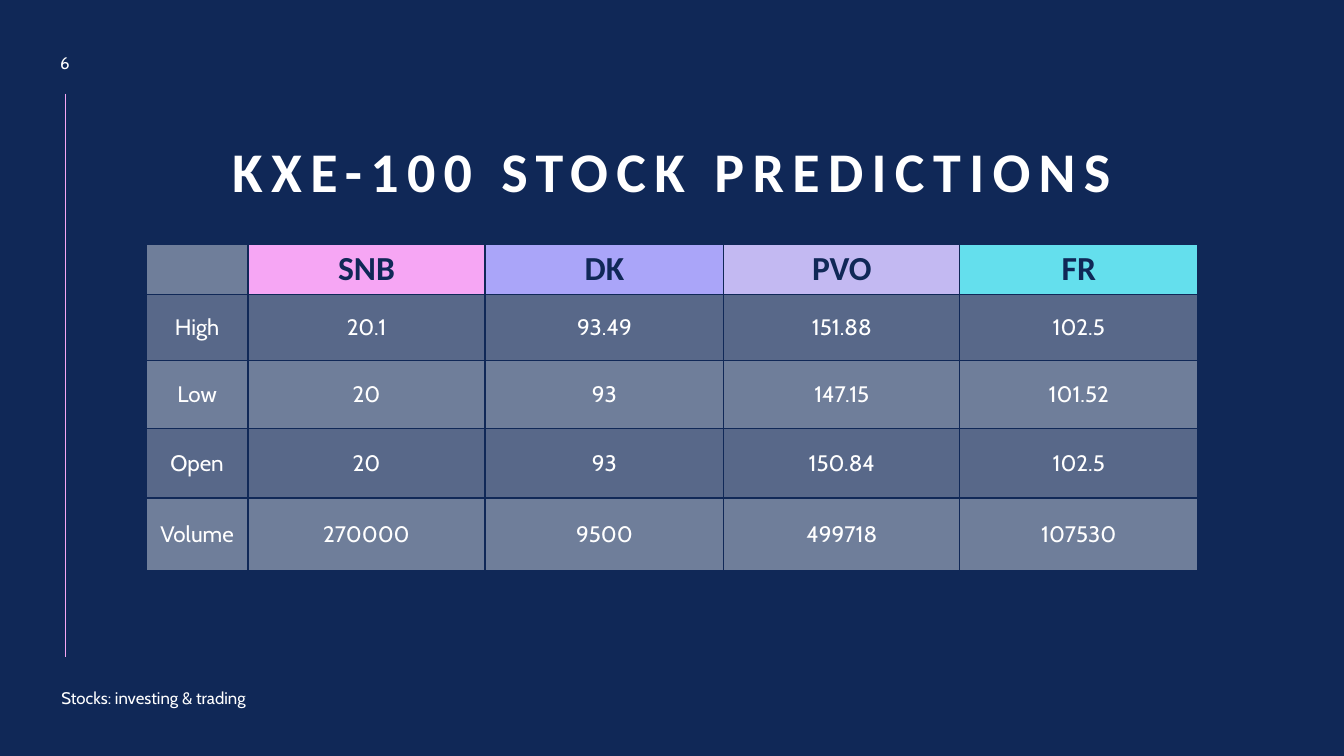
"""Build a slide with a table of stock predictions."""
from pptx import Presentation
from pptx import util as u
from pptx.dml import color
from pptx.enum import shapes, text
from pptx.oxml import parse_xml
from pptx.oxml import ns

TITLE = "KXE-100 STOCK PREDICTIONS"
PAGE_NUMBER = "6"
FOOTER = "Stocks: investing & trading"
ROWS = [
    ("", "SNB", "DK", "PVO", "FR"),
    ("High", "20.1", "93.49", "151.88", "102.5"),
    ("Low", "20", "93", "147.15", "101.52"),
    ("Open", "20", "93", "150.84", "102.5"),
    ("Volume", "270000", "9500", "499718", "107530"),
]
COLORS = {"navy": "102857", "white": "FFFFFF", "pink": "F6A6F4",
          "violet": "AAA5F9", "lilac": "C3B9F2", "cyan": "64DFED"}
HEADER_FILLS = ["white", "pink", "violet", "lilac", "cyan"]
COLUMN_WIDTHS = [101, 235, 237, 234, 236]
ROW_HEIGHTS = [47, 66, 67, 69, 72]
TABLE_CORNER = (145, 242)
TITLE_BOX = (120, 91, 1093, 117)
NUMBER_BOX = (36, 45, 57, 34)
FOOTER_BOX = (51, 677, 255, 30)
RULE = (65, 93, 65, 652)
SLIDE_SIZE = (1333, 750)

PX = 9144
BORDER_WIDTH = u.Pt(1)
CENTER, LEFT = text.PP_ALIGN.CENTER, text.PP_ALIGN.LEFT
MIDDLE = text.MSO_ANCHOR.MIDDLE
TITLE_FONT = {"name": "Calibri", "size": u.Pt(40), "bold": True}
HEADER_FONT = {"name": "Calibri", "size": u.Pt(24), "bold": True}
CELL_FONT = {"name": "Cabin", "size": u.Pt(16), "bold": False}
SMALL_FONT = {"name": "Cabin", "size": u.Pt(12), "bold": False}


def px(lengths):
    return [length * PX for length in lengths]


def rgb(name):
    return color.RGBColor.from_string(COLORS[name])


def write(frame, words, font, ink="white", align=CENTER):
    para = frame.paragraphs[0]
    para.alignment = align
    span = para.add_run()
    span.text = words
    for key, value in font.items():
        setattr(span.font, key, value)
    span.font.color.rgb = rgb(ink)
    return para, span


def add_label(page, box, words, align):
    frame = page.shapes.add_textbox(*px(box)).text_frame
    frame.word_wrap = True
    frame.vertical_anchor = MIDDLE
    write(frame, words, SMALL_FONT, align=align)


def paint(cell, fill, opacity):
    cell.fill.solid()
    cell.fill.fore_color.rgb = rgb(fill)
    properties = cell._tc.get_or_add_tcPr()
    if opacity < 100:
        tint = properties.find(".//" + ns.qn("a:srgbClr"))
        tint.append(parse_xml(f'<a:alpha {ns.nsdecls("a")} val="{opacity * 1000}"/>'))
    for index, side in enumerate("LRTB"):
        properties.insert(index, parse_xml(
            f'<a:ln{side} {ns.nsdecls("a")} w="{BORDER_WIDTH}"><a:solidFill>'
            f'<a:srgbClr val="{COLORS["navy"]}"/></a:solidFill></a:ln{side}>'))


def add_title(page):
    title = page.shapes.title
    title.left, title.top, title.width, title.height = px(TITLE_BOX)
    frame = title.text_frame
    frame.word_wrap = True
    frame.auto_size = text.MSO_AUTO_SIZE.NONE
    frame.vertical_anchor = text.MSO_ANCHOR.BOTTOM
    para, span = write(frame, TITLE, TITLE_FONT)
    para.line_spacing = 0.9
    span.font._element.set("spc", "600")


def add_rule(page):
    rule = page.shapes.add_connector(shapes.MSO_CONNECTOR.STRAIGHT, *px(RULE))
    rule.line.color.rgb = rgb("pink")
    rule.line.width = u.Pt(0.5)
    rule._element.spPr.append(parse_xml(f'<a:effectLst {ns.nsdecls("a")}/>'))


def add_stock_table(page):
    box = (*TABLE_CORNER, sum(COLUMN_WIDTHS), sum(ROW_HEIGHTS))
    table = page.shapes.add_table(len(ROWS), len(COLUMN_WIDTHS), *px(box)).table
    for column, width in zip(table.columns, px(COLUMN_WIDTHS)):
        column.width = width
    for row, height in zip(table.rows, px(ROW_HEIGHTS)):
        row.height = height
    for r, values in enumerate(ROWS):
        for c, value in enumerate(values):
            cell = table.cell(r, c)
            cell.vertical_anchor = MIDDLE
            header = r == 0
            fill = HEADER_FILLS[c] if header else "white"
            opacity = 100 if fill != "white" else 30 if r % 2 else 40
            paint(cell, fill, opacity)
            if value:
                write(cell.text_frame, value, HEADER_FONT if header else CELL_FONT,
                      "navy" if header else "white")


def main():
    deck = Presentation()
    deck.slide_width, deck.slide_height = px(SLIDE_SIZE)
    page = deck.slides.add_slide(deck.slide_layouts[5])
    page.background.fill.solid()
    page.background.fill.fore_color.rgb = rgb("navy")
    add_rule(page)
    add_title(page)
    add_label(page, NUMBER_BOX, PAGE_NUMBER, CENTER)
    add_stock_table(page)
    add_label(page, FOOTER_BOX, FOOTER, LEFT)
    deck.save("out.pptx")


if __name__ == "__main__":
    main()
